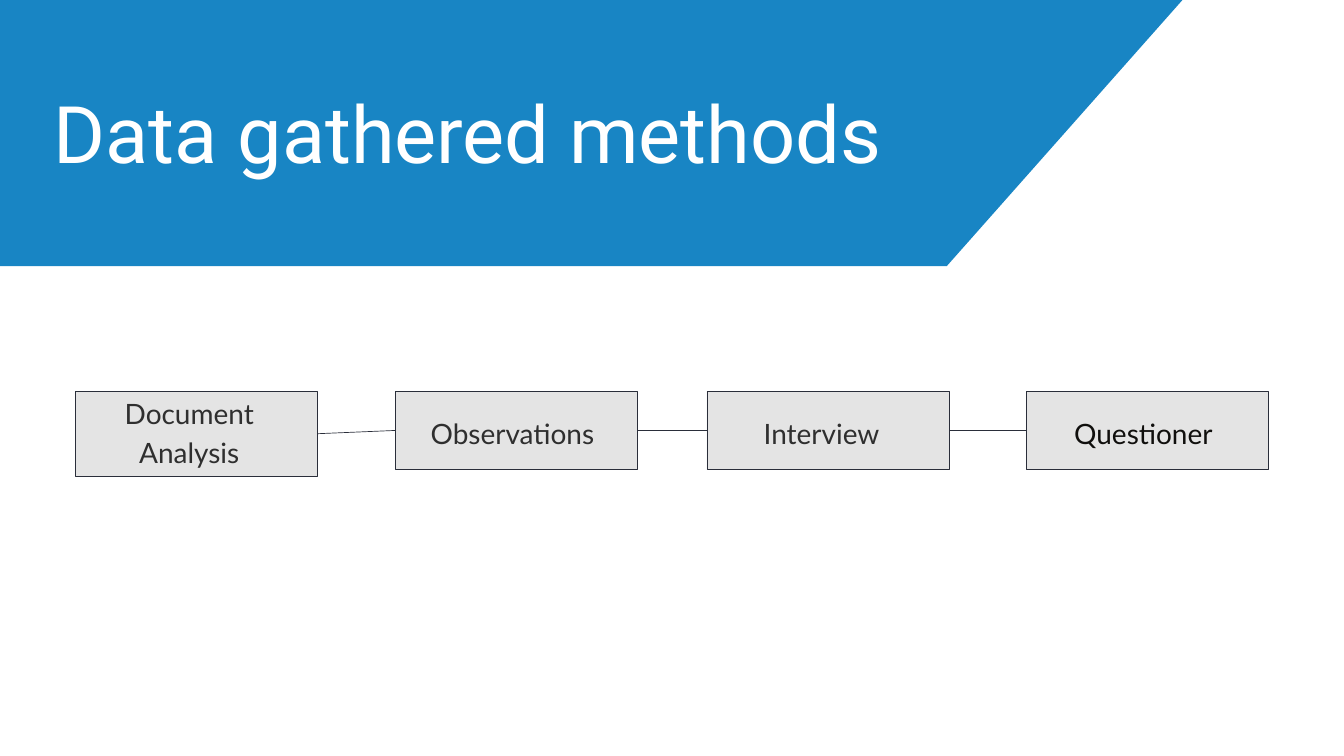
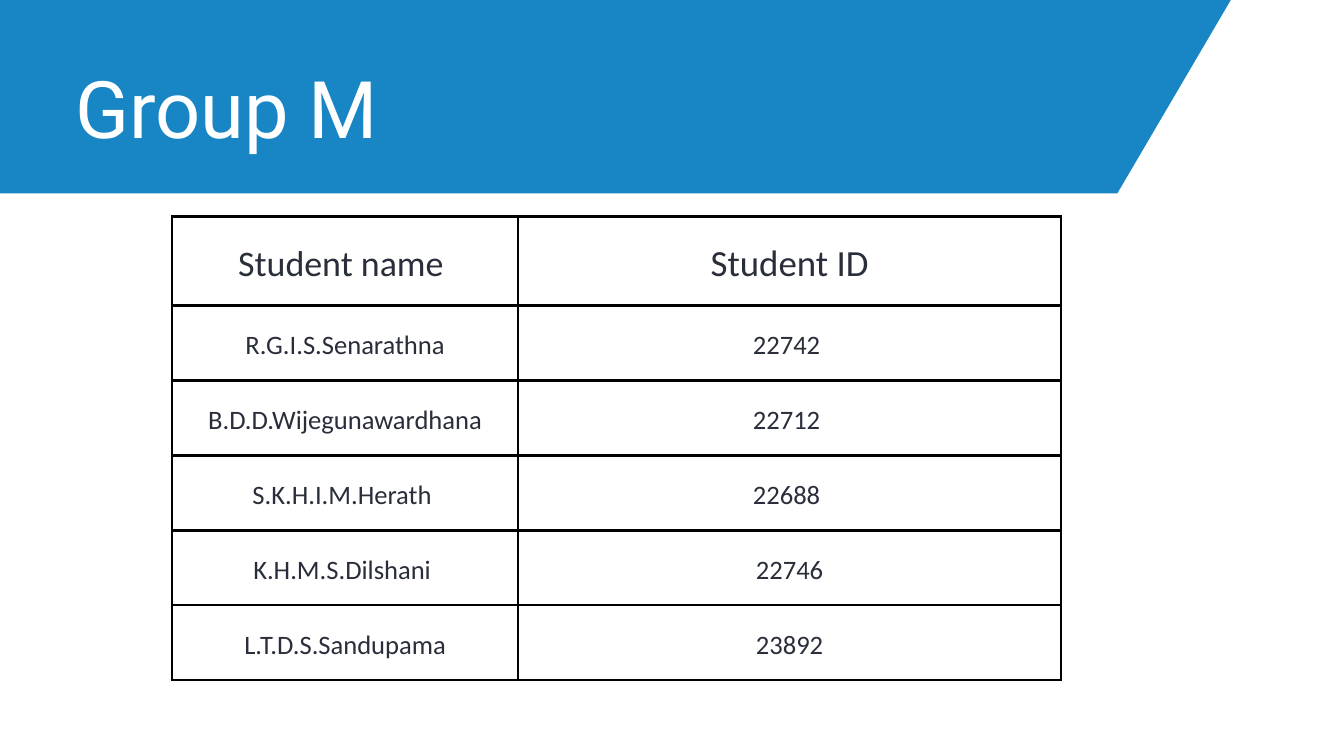
from itertools import pairwise

from lxml.etree import SubElement
from pptx import Presentation
from pptx.dml.color import RGBColor
from pptx.enum.shapes import MSO_CONNECTOR, MSO_SHAPE
from pptx.enum.text import MSO_ANCHOR, MSO_AUTO_SIZE, PP_ALIGN
from pptx.oxml.ns import qn
from pptx.util import Pt

BLUE = RGBColor(0x18, 0x85, 0xC4)
WHITE = RGBColor(0xFF, 0xFF, 0xFF)
GREY = RGBColor(0xE4, 0xE4, 0xE4)
SLATE = RGBColor(0x2A, 0x2E, 0x3A)
DARK = RGBColor(0x2F, 0x2F, 0x2F)
INK = RGBColor(0x10, 0x0F, 0x0D)
BLACK = RGBColor(0, 0, 0)

STEPS = [
    ("Document Analysis", 81, 91.4, 0.4, DARK),
    ("Observations", 423.4, 84.4, 4.3, DARK),
    ("Interview", 757.4, 84.4, 1.5, DARK),
    ("Questioner", 1099.4, 84.4, 4.3, INK),
]
GROUP = [
    ("Student name ", "Student ID"),
    ("R.G.I.S.Senarathna", "22742 "),
    ("B.D.D.Wijegunawardhana", "22712 "),
    ("S.K.H.I.M.Herath ", "22688 "),
    ("K.H.M.S.Dilshani ", "22746"),
    ("L.T.D.S.Sandupama", "23892"),
]


def add_run(frame, text, font, size, color, lead, align):
    """Write one run with exact line spacing into the first paragraph."""
    line = frame.paragraphs[0]
    line.alignment = align
    line.line_spacing = Pt(lead)
    run = line.add_run()
    run.text = text
    run.font.name = font
    run.font.size = Pt(size)
    run.font.color.rgb = color


def add_text(slide, box, inset, anchor):
    """Add a wrapping text box and return its frame."""
    frame = slide.shapes.add_textbox(*map(Pt, box)).text_frame
    frame.word_wrap = True
    frame.vertical_anchor = anchor
    frame.margin_left = frame.margin_right = Pt(inset)
    frame.margin_top = frame.margin_bottom = Pt(inset)
    return frame


def add_band(slide, box, slant):
    """Draw the blue band, its sides slanting in towards the bottom."""
    left, top, width, height = box
    right, base = left + width, top + height
    pen = slide.shapes.build_freeform(Pt(left), Pt(top))
    pen.add_line_segments([
        (Pt(right), Pt(top)),
        (Pt(right - slant), Pt(base)),
        (Pt(left + slant), Pt(base)),
    ])
    band = pen.convert_to_shape()
    band.shadow.inherit = False
    band.fill.solid()
    band.fill.fore_color.rgb = BLUE
    band.line.fill.background()


def add_title(slide, box, text):
    """Add the large white title."""
    frame = add_text(slide, box, 0, MSO_ANCHOR.TOP)
    frame.auto_size = MSO_AUTO_SIZE.SHAPE_TO_FIT_TEXT
    add_run(frame, text, "Roboto", 85, WHITE, 102, PP_ALIGN.LEFT)


def add_step(slide, box, text, shift, color):
    """Draw one method box with its label."""
    left, top, width, height = box
    step = slide.shapes.add_shape(MSO_SHAPE.RECTANGLE, *map(Pt, box))
    step.shadow.inherit = False
    step.fill.solid()
    step.fill.fore_color.rgb = GREY
    step.line.color.rgb = SLATE
    step.line.width = Pt(0.75)
    place = (left + shift, top - 88, width - 16.6, 260)
    frame = add_text(slide, place, 4.3, MSO_ANCHOR.MIDDLE)
    add_run(frame, text, "Lato", 30, color, 42, PP_ALIGN.CENTER)
    return step


def add_link(slide, start, end):
    """Join the facing sides of two method boxes."""
    link = slide.shapes.add_connector(
        MSO_CONNECTOR.STRAIGHT,
        start.left + start.width, start.top + start.height // 2,
        end.left, end.top + end.height // 2)
    link.line.color.rgb = SLATE
    link.line.width = Pt(0.75)
    SubElement(link._element.spPr, qn("a:effectLst"))


def add_flow(slide, top, width):
    """Lay out the row of linked method boxes."""
    steps = [add_step(slide, (left, top, width, height), text, shift, color)
             for text, left, height, shift, color in STEPS]
    for start, end in pairwise(steps):
        add_link(slide, start, end)


def add_edges(cell):
    """Give a cell black borders on all sides."""
    props = cell._tc.get_or_add_tcPr()
    for side in ("lnL", "lnR", "lnT", "lnB"):
        edge = SubElement(props, qn(f"a:{side}"), w=str(Pt(3)))
        fill = SubElement(edge, qn("a:solidFill"))
        SubElement(fill, qn("a:srgbClr"), val=str(BLACK))


def add_grid(slide, box, wide, head):
    """Add the student table with a taller first row."""
    width, height = box[2:]
    table = slide.shapes.add_table(len(GROUP), 2, *map(Pt, box)).table
    table.first_row = table.horz_banding = False
    table.columns[0].width = Pt(wide)
    table.columns[1].width = Pt(width - wide)
    for r, texts in enumerate(GROUP):
        table.rows[r].height = Pt(
            (height - head) / (len(GROUP) - 1) if r else head)
        for c, text in enumerate(texts):
            cell = table.cell(r, c)
            add_edges(cell)
            cell.fill.background()
            cell.vertical_anchor = MSO_ANCHOR.MIDDLE
            cell.margin_left = cell.margin_right = Pt(15)
            cell.margin_top = cell.margin_bottom = Pt(15)
            size = 28.5 if r else 38.5 + c
            add_run(cell.text_frame, text, "Calibri", size, SLATE,
                    round(size * 1.4, 1), PP_ALIGN.CENTER)


def main():
    """Build both slides and save them."""
    deck = Presentation()
    deck.slide_width, deck.slide_height = Pt(1440), Pt(810)
    blank = deck.slide_layouts[6]

    slide = deck.slides.add_slide(blank)
    add_band(slide, (-361.4, -104.4, 1720.8, 389.5), 345)
    add_title(slide, (57.6, 90.7, 1100, 101.5), "Data gathered methods")
    add_flow(slide, 419, 259.4)

    slide = deck.slides.add_slide(blank)
    add_band(slide, (-240.5, -146.2, 1645, 353.5), 207.4)
    add_title(slide, (80.6, 63.4, 915, 101.5), "Group M")
    add_grid(slide, (184.3, 231.8, 952.6, 497), 370.8, 95.8)

    deck.save("out.pptx")


if __name__ == "__main__":
    main()
